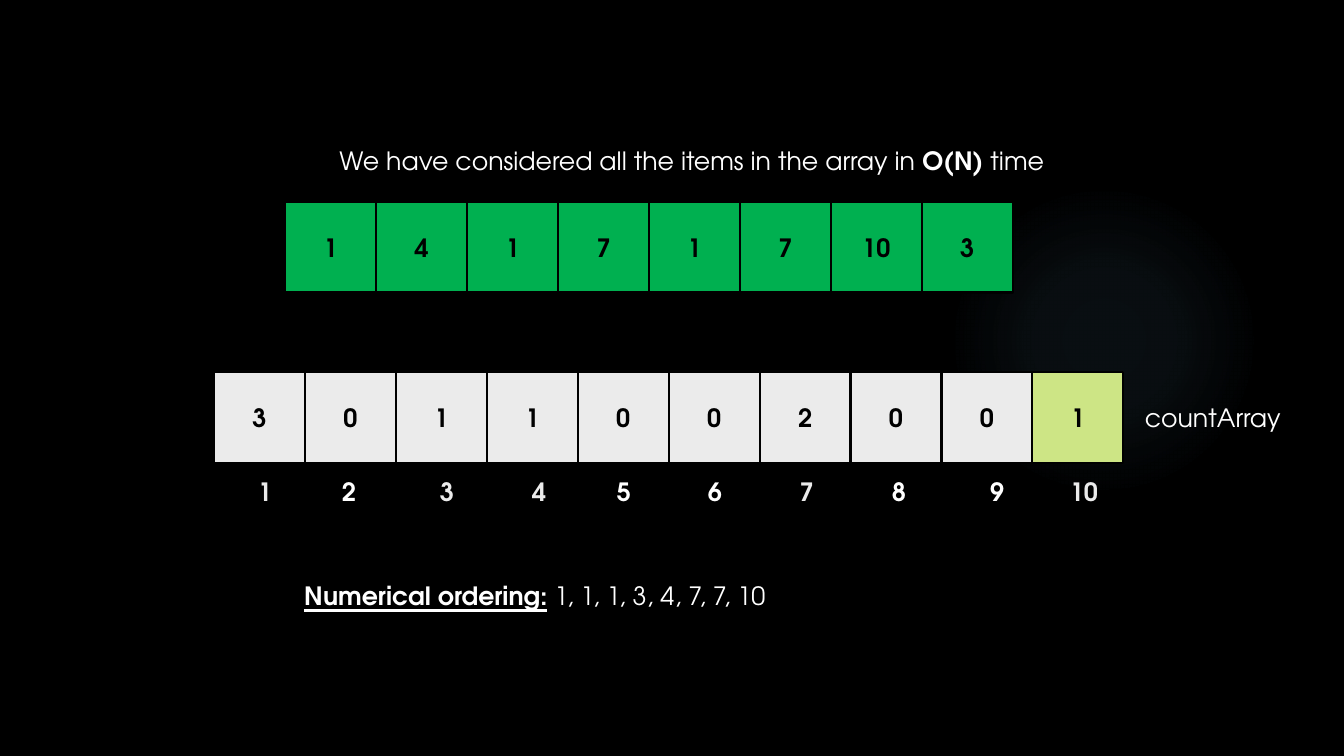
from dataclasses import dataclass

from pptx import Presentation
from pptx.dml.color import RGBColor
from pptx.enum.shapes import MSO_SHAPE
from pptx.enum.text import MSO_ANCHOR, MSO_AUTO_SIZE, PP_ALIGN
from pptx.oxml import parse_xml
from pptx.oxml.ns import nsdecls, qn
from pptx.slide import Slide
from pptx.text.text import TextFrame
from pptx.util import Pt

RECTANGLE, ELLIPSE = MSO_SHAPE.RECTANGLE, MSO_SHAPE.OVAL
MIDDLE, LEFT, CENTER = MSO_ANCHOR.MIDDLE, PP_ALIGN.LEFT, PP_ALIGN.CENTER
GROW = MSO_AUTO_SIZE.SHAPE_TO_FIT_TEXT
BLANK_LAYOUT = 6


@dataclass(frozen=True)
class Theme:
    font: str = "TeX Gyre Adventor"
    size: float = 18
    outline: float = 1.5
    black: str = "000000"
    white: str = "FFFFFF"
    grey: str = "EBEBEB"
    green: str = "00B050"
    lime: str = "CDE585"
    glow: str = "7AC4F0"


THEME = Theme()


@dataclass(frozen=True)
class Span:
    text: str
    color: str = THEME.white
    bold: bool = False
    underline: bool = False


@dataclass(frozen=True)
class Label:
    left: float
    top: float
    width: float
    spans: tuple[Span, ...]
    tabs: tuple[float, ...] = ()


@dataclass(frozen=True)
class ArrayRow:
    left: float
    top: float
    values: tuple[int, ...]
    fill: str
    last_fill: str


CELL = 64.95
LABEL_HEIGHT = 29

ARRAYS = (
    ArrayRow(203.8, 144, (1, 4, 1, 7, 1, 7, 10, 3), THEME.green, THEME.green),
    ArrayRow(152.9, 265.7, (3, 0, 1, 1, 0, 0, 2, 0, 0, 1), THEME.grey, THEME.lime),
)

# Centres of indices 2 to 10, measured from the start of the index line
INDEX_TABS = (65, 135, 201, 261.5, 326.5, 392, 458, 528, 590)

LABELS = (
    Label(177.1, 337, 620.6, (
        Span("1", THEME.grey, bold=True),
        Span("\t2", bold=True),
        Span("\t3\t4", THEME.grey, bold=True),
        Span("\t5\t6", bold=True),
        Span("\t7", THEME.grey, bold=True),
        Span("\t8\t9", bold=True),
        Span("\t10", THEME.grey, bold=True),
    ), INDEX_TABS),
    Label(235.4, 100.1, 524.2, (
        Span("We have considered all the items in the array in "),
        Span("O(N)", bold=True),
        Span(" time"),
    )),
    Label(210.2, 411.1, 356.4, (
        Span("Numerical ordering:", bold=True, underline=True),
        Span(" 1, 1, 1, 3, 4, 7, 7, 10"),
    )),
    Label(810.7, 283.7, 113, (Span("countArray"),)),
)


def write_text(frame: TextFrame, *spans: Span, align: PP_ALIGN = LEFT,
               tabs: tuple[float, ...] = ()) -> None:
    para = frame.paragraphs[0]
    para.alignment = align
    for span in spans:
        run = para.add_run()
        run.text = span.text
        font = run.font
        font.name, font.size = THEME.font, Pt(THEME.size)
        font.bold, font.underline = span.bold, span.underline
        font.color.rgb = RGBColor.from_string(span.color)
    if tabs:
        stops = "".join(f'<a:tab pos="{Pt(tab)}" algn="ctr"/>' for tab in tabs)
        para._p.get_or_add_pPr().append(
            parse_xml(f'<a:tabLst {nsdecls("a")}>{stops}</a:tabLst>'))


def draw_glow(page: Slide) -> None:
    glow = page.shapes.add_shape(ELLIPSE, Pt(677.5), Pt(131.8), Pt(221.8), Pt(221.8))
    glow.shadow.inherit = False
    glow.line.fill.background()
    glow.fill.background()
    stops = "".join(
        f'<a:gs pos="{position * 1000}"><a:srgbClr val="{THEME.glow}">'
        f'<a:alpha val="{opacity * 1000}"/></a:srgbClr></a:gs>'
        for position, opacity in ((0, 7), (36, 6), (69, 0)))
    gradient = parse_xml(
        f'<a:gradFill {nsdecls("a")} rotWithShape="1"><a:gsLst>{stops}</a:gsLst>'
        '<a:path path="circle"><a:fillToRect l="50000" t="50000" r="50000" b="50000"/>'
        '</a:path></a:gradFill>')
    properties = glow._element.spPr
    properties.replace(properties.find(qn("a:noFill")), gradient)


def draw_array(page: Slide, row: ArrayRow) -> None:
    last = len(row.values) - 1
    for index, value in enumerate(row.values):
        box = page.shapes.add_shape(
            RECTANGLE, Pt(row.left + index * CELL), Pt(row.top), Pt(CELL), Pt(CELL))
        box.shadow.inherit = False
        box.fill.solid()
        box.fill.fore_color.rgb = RGBColor.from_string(
            row.last_fill if index == last else row.fill)
        box.line.color.rgb = RGBColor.from_string(THEME.black)
        box.line.width = Pt(THEME.outline)
        box.text_frame.vertical_anchor = MIDDLE
        write_text(box.text_frame, Span(str(value), THEME.black, bold=True), align=CENTER)


def draw_label(page: Slide, label: Label) -> None:
    box = page.shapes.add_textbox(
        Pt(label.left), Pt(label.top), Pt(label.width), Pt(LABEL_HEIGHT))
    frame = box.text_frame
    frame.word_wrap = bool(label.tabs)
    frame.auto_size = GROW
    write_text(frame, *label.spans, tabs=label.tabs)


def main() -> None:
    deck = Presentation()
    deck.slide_width, deck.slide_height = Pt(960), Pt(540)
    page = deck.slides.add_slide(deck.slide_layouts[BLANK_LAYOUT])

    # Background
    page.background.fill.solid()
    page.background.fill.fore_color.rgb = RGBColor.from_string(THEME.black)
    draw_glow(page)

    # Input array and count array
    for row in ARRAYS:
        draw_array(page, row)

    # Indices, caption, ordering and array name
    for label in LABELS:
        draw_label(page, label)

    deck.save("out.pptx")


if __name__ == "__main__":
    main()
